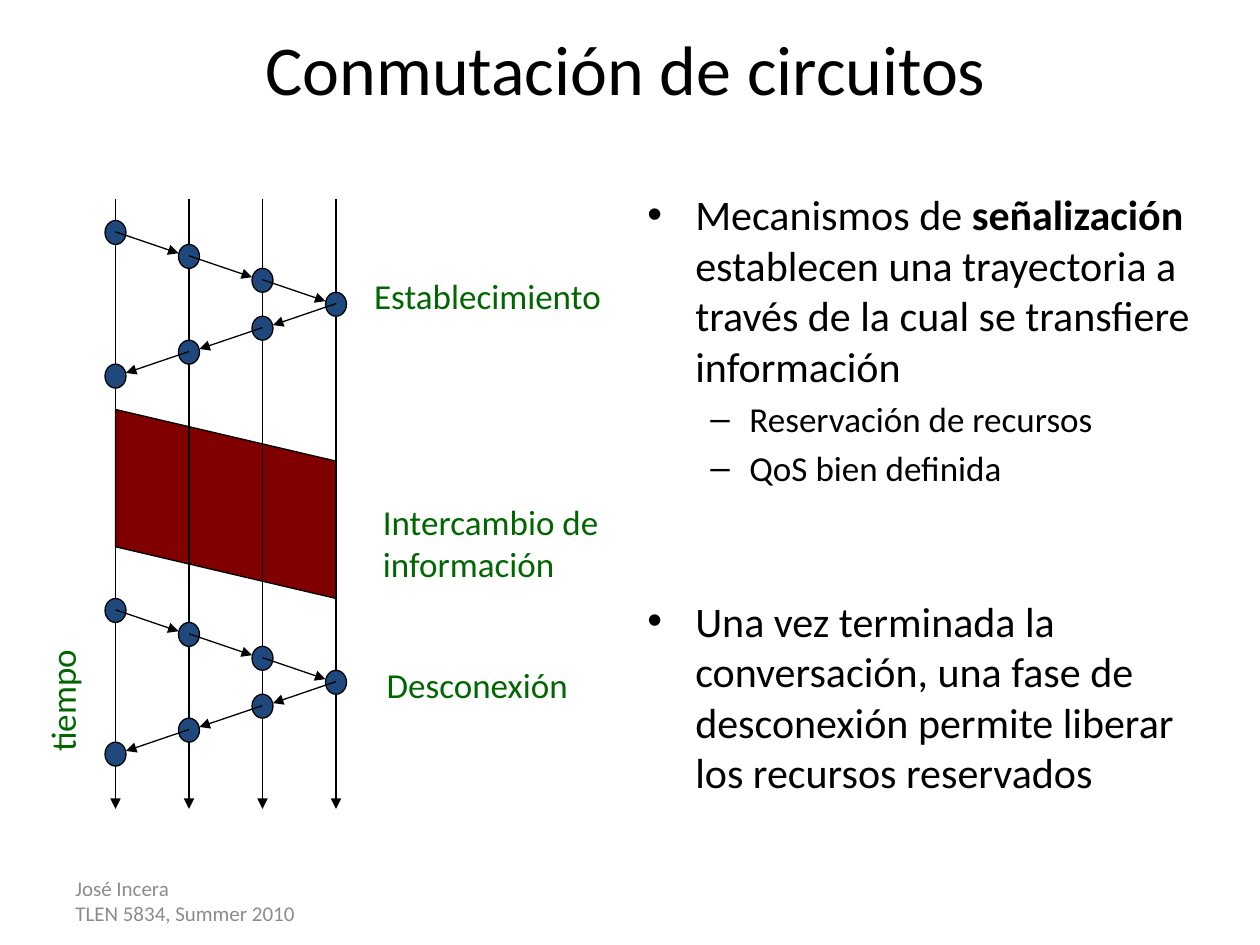
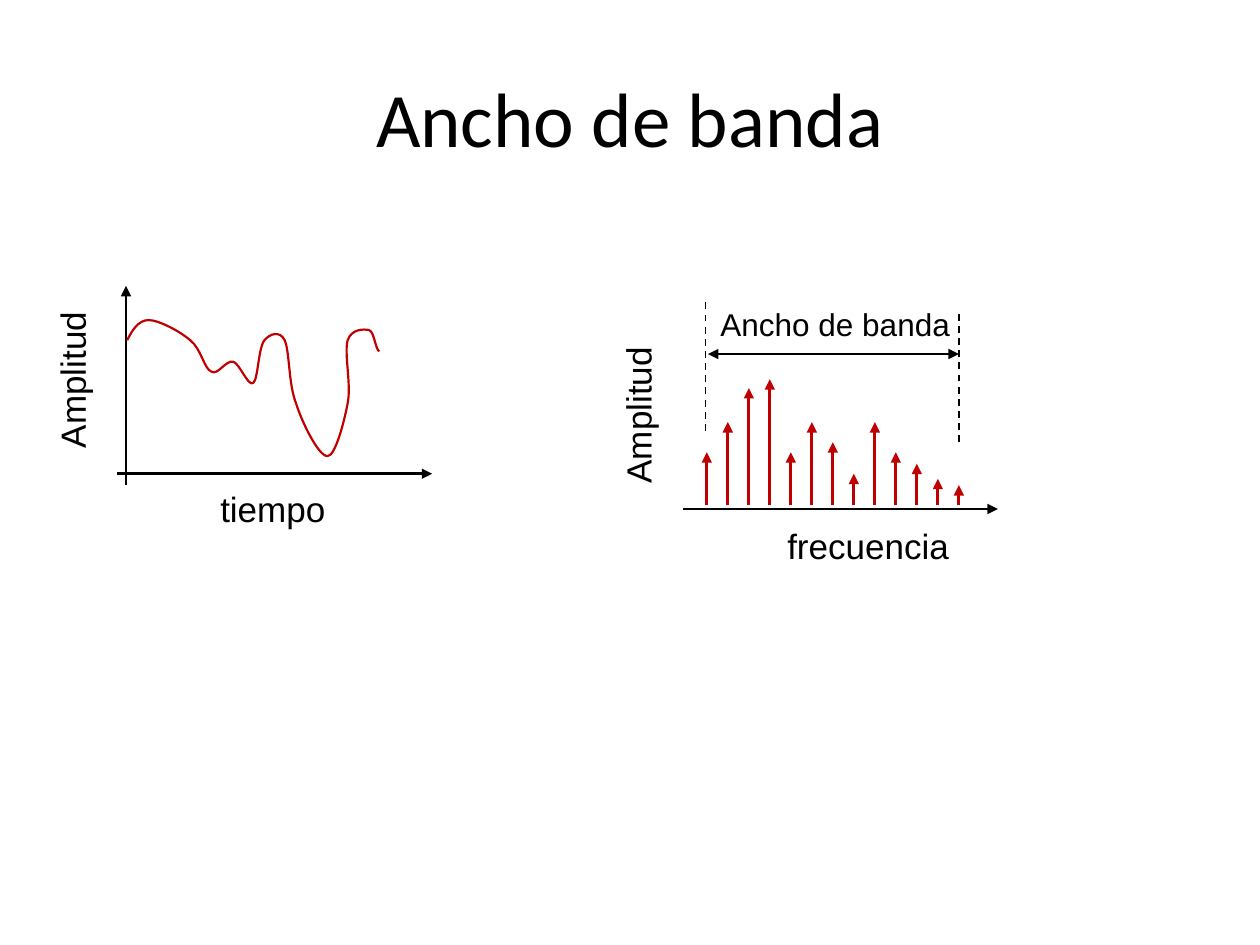
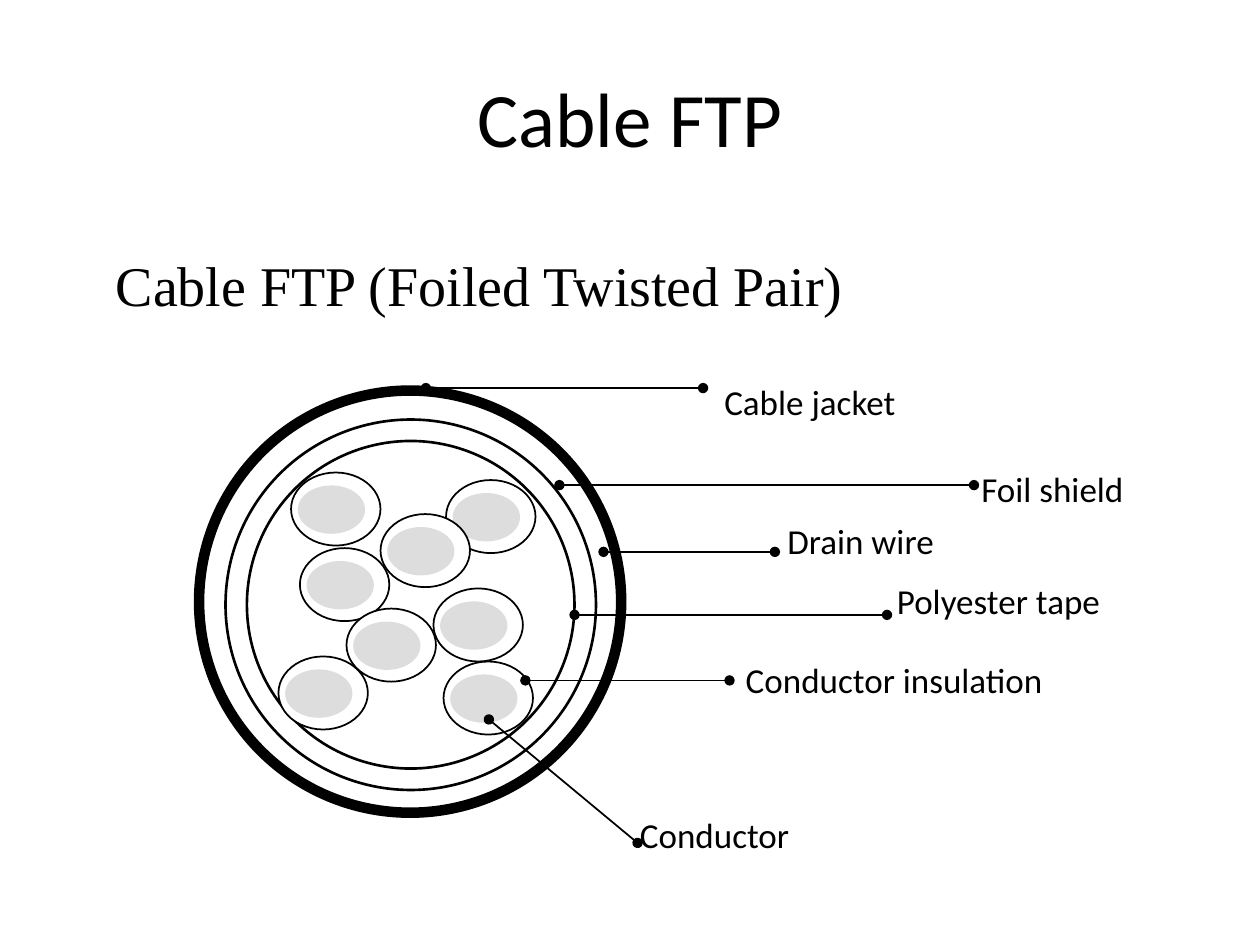
from dataclasses import dataclass

from lxml.etree import SubElement
from pptx import Presentation
from pptx.dml.color import RGBColor
from pptx.enum.dml import MSO_LINE
from pptx.enum.shapes import MSO_CONNECTOR, MSO_SHAPE
from pptx.enum.text import MSO_ANCHOR, MSO_AUTO_SIZE, PP_ALIGN
from pptx.oxml.ns import qn
from pptx.util import Inches, Pt


@dataclass(frozen=True)
class Theme:
    black: RGBColor = RGBColor(0x00, 0x00, 0x00)
    white: RGBColor = RGBColor(0xFF, 0xFF, 0xFF)
    green: RGBColor = RGBColor(0x00, 0x66, 0x00)
    maroon: RGBColor = RGBColor(0x80, 0x00, 0x00)
    navy: RGBColor = RGBColor(0x1F, 0x49, 0x7D)
    red: RGBColor = RGBColor(0xC0, 0x00, 0x00)
    light_gray: RGBColor = RGBColor(0xDD, 0xDD, 0xDD)
    footer_gray: RGBColor = RGBColor(0x8C, 0x8C, 0x8C)
    font: str = "Calibri"
    plot_font: str = "Arial"
    heading_font: str = "Times New Roman"
    title: int = 44
    long_title: int = 40
    heading: int = 32
    body: int = 24
    label: int = 20
    small_label: int = 18
    footer: int = 12


THEME = Theme()
prs = Presentation()
prs.slide_width, prs.slide_height = Inches(10), Inches(7.5)
CELL = prs.slide_width // 10  # the slide is a grid of 10 columns by 7.5 rows


def grid(*lengths):
    """Turn grid columns and rows into slide lengths."""
    return [round(length * CELL) for length in lengths]


def add_text(slide, text, box, size=THEME.label, color=THEME.black,
             font=THEME.font, align=PP_ALIGN.LEFT, wrap=False):
    shape = slide.shapes.add_textbox(*grid(*box))
    frame = shape.text_frame
    frame.text = text
    frame.word_wrap = wrap
    frame.auto_size = MSO_AUTO_SIZE.NONE if wrap else MSO_AUTO_SIZE.SHAPE_TO_FIT_TEXT
    for paragraph in frame.paragraphs:
        paragraph.alignment = align
        for run in paragraph.runs:
            run.font.name, run.font.size = font, Pt(size)
            run.font.color.rgb = color
    return shape


def add_line(slide, start, end, width=0.75, color=THEME.black, head=None,
             tail=None, dash=None):
    connector = slide.shapes.add_connector(
        MSO_CONNECTOR.STRAIGHT, *grid(*start, *end))
    connector.line.color.rgb = color
    connector.line.width = Pt(width)
    if dash:
        connector.line.dash_style = dash
    outline = connector.line._get_or_add_ln()
    for tag, kind in (("a:headEnd", head), ("a:tailEnd", tail)):
        if kind:
            SubElement(outline, qn(tag), type=kind)
    SubElement(connector._element.spPr, qn("a:effectLst"))


# Titles
slides = []
for title, box, size, anchor in (
    ("Conmutación de circuitos", (0.42, 0.15, 9.09, 1.25), THEME.long_title, MSO_ANCHOR.TOP),
    ("Ancho de banda", (0.5, 0.3, 9, 1.25), THEME.title, MSO_ANCHOR.MIDDLE),
    ("Cable FTP", (0.5, 0.3, 9, 1.25), THEME.title, MSO_ANCHOR.MIDDLE),
):
    slide = prs.slides.add_slide(prs.slide_layouts[5])
    heading = slide.shapes.title
    heading.left, heading.top, heading.width, heading.height = grid(*box)
    heading.text_frame.text = title
    heading.text_frame.vertical_anchor = anchor
    paragraph = heading.text_frame.paragraphs[0]
    paragraph.alignment = PP_ALIGN.CENTER
    font = paragraph.runs[0].font
    font.name, font.size, font.color.rgb = THEME.font, Pt(size), THEME.black
    slides.append(slide)
circuits, bandwidth, cable = slides

# Circuit switching: bullets
bullets = (
    (0, "Mecanismos de señalización establecen una trayectoria a través de la "
        "cual se transfiere información", 4.8),
    (1, "Reservación de recursos", 4),
    (1, "QoS bien definida", 4),
    (0, "Una vez terminada la conversación, una fase de desconexión permite "
        "liberar los recursos reservados", 61),
)
bullet_styles = (("•", 0.38, 0.38, THEME.body), ("–", 0.81, 0.31, THEME.label))
body = add_text(circuits, "\n".join(text for _, text, _ in bullets),
                (5.04, 1.45, 4.53, 5.09), THEME.body, wrap=True)
for paragraph, (level, _, gap) in zip(body.text_frame.paragraphs, bullets):
    mark, margin, hanging, size = bullet_styles[level]
    paragraph.level = level
    paragraph.space_before = Pt(gap)
    paragraph.runs[0].font.size = Pt(size)
    properties = paragraph._p.get_or_add_pPr()
    properties.set("marL", str(Inches(margin)))
    properties.set("indent", str(-Inches(hanging)))
    SubElement(properties, qn("a:buFont"), typeface="Arial")
    SubElement(properties, qn("a:buChar"), char=mark)

first = body.text_frame.paragraphs[0]
emphasis = "señalización "
before, after = first.runs[0].text.split(emphasis)
first.runs[0].text = before
for text, bold in ((emphasis, True), (after, False)):
    run = first.add_run()
    run.text = text
    run.font.name, run.font.size, run.font.bold = THEME.font, Pt(THEME.body), bold
    run.font.color.rgb = THEME.black

# Circuit switching: time diagram
nodes = [(11 + 7 * i) / 12 for i in range(4)]
exchange_corners = [(nodes[0], 3.25), (nodes[0], 4.34), (nodes[3], 4.75), (nodes[3], 3.66)]
outline = circuits.shapes.build_freeform(*grid(*exchange_corners[0]))
outline.add_line_segments([grid(*corner) for corner in exchange_corners[1:]])
exchange = outline.convert_to_shape()
exchange.shadow.inherit = False
exchange.fill.solid()
exchange.fill.fore_color.rgb = THEME.maroon
exchange.line.color.rgb = THEME.black
exchange.line.width = Pt(0.75)

for x in nodes:
    add_line(circuits, (x, 1.58), (x, 6.42), tail="triangle")

HOP = 0.19
route = (0, 1, 2, 3, 2, 1, 0)
for phase_top in (1.75, 4.75):
    for step, node in enumerate(route):
        event = circuits.shapes.add_shape(
            MSO_SHAPE.OVAL,
            *grid(nodes[node] - 1 / 12, phase_top + step * HOP, 1 / 6, 0.19))
        event.shadow.inherit = False
        event.fill.solid()
        event.fill.fore_color.rgb = THEME.navy
        event.line.color.rgb = THEME.black
        event.line.width = Pt(0.75)
    for step, (node, next_node) in enumerate(zip(route, route[1:])):
        x, y = nodes[node], phase_top + 0.09 + step * HOP
        add_line(circuits, (x, y), (x + (next_node - node) * 0.5, y + 0.17),
                 tail="triangle")

for text, box, align in (
    ("Establecimiento", (2.8, 2.13, 2.14, 0.44), PP_ALIGN.CENTER),
    ("Intercambio de\vinformación", (2.94, 3.92, 2.08, 0.77), PP_ALIGN.LEFT),
    ("Desconexión", (2.97, 5.22, 1.76, 0.44), PP_ALIGN.LEFT),
):
    add_text(circuits, text, box, color=THEME.green, align=align)
time_label = add_text(circuits, "tiempo", (-0.03, 5.34, 1.05, 0.44),
                      color=THEME.green, align=PP_ALIGN.CENTER)
time_label.rotation = 270

footer = add_text(circuits, "José Incera\nTLEN 5834, Summer 2010",
                  (0.5, 6.95, 2.33, 0.4), THEME.footer, THEME.footer_gray, wrap=True)
footer.text_frame.vertical_anchor = MSO_ANCHOR.MIDDLE

# Bandwidth: axes and labels
for start, end in (((1, 3.85), (1, 2.27)), ((0.93, 3.76), (3.43, 3.76)),
                   ((5.42, 4.04), (7.92, 4.04))):
    add_line(bandwidth, start, end, 1.5, tail="triangle")

for text, box, size, angle in (
    ("tiempo", (1.65, 3.82, 1.04, 0.44), THEME.label, 0),
    ("Amplitud", (-0.07, 2.79, 1.29, 0.44), THEME.label, 270),
    ("Ancho de banda", (5.62, 2.37, 2.04, 0.4), THEME.small_label, 0),
    ("frecuencia", (6.15, 4.11, 1.5, 0.44), THEME.label, 0),
    ("Amplitud", (4.42, 3.07, 1.29, 0.44), THEME.label, 270),
):
    add_text(bandwidth, text, box, size, font=THEME.plot_font).rotation = angle

# Bandwidth: signal over time, each row holding two control points and an end
signal_start = (1.01, 2.7)
signal_curves = (
    ((1.05, 2.62), (1.1, 2.54), (1.18, 2.54)),
    ((1.26, 2.54), (1.43, 2.63), (1.51, 2.7)),
    ((1.6, 2.77), (1.62, 2.93), (1.68, 2.95)),
    ((1.73, 2.98), (1.79, 2.86), (1.85, 2.87)),
    ((1.9, 2.88), (1.97, 3.07), (2.01, 3.04)),
    ((2.05, 3.01), (2.05, 2.76), (2.1, 2.7)),
    ((2.14, 2.65), (2.22, 2.62), (2.26, 2.7)),
    ((2.3, 2.79), (2.29, 3.05), (2.35, 3.2)),
    ((2.4, 3.36), (2.53, 3.62), (2.6, 3.62)),
    ((2.66, 3.62), (2.73, 3.36), (2.76, 3.2)),
    ((2.79, 3.05), (2.73, 2.8), (2.76, 2.7)),
    ((2.79, 2.61), (2.89, 2.61), (2.93, 2.62)),
    ((2.97, 2.63), (2.98, 2.77), (3.01, 2.79)),
)
outline = bandwidth.shapes.build_freeform(*grid(*signal_start))
outline.add_line_segments([grid(*curve[-1]) for curve in signal_curves], close=False)
signal = outline.convert_to_shape()
signal.shadow.inherit = False
signal.fill.background()
signal.line.color.rgb = THEME.red
signal.line.width = Pt(1.25)
# Bend each straight segment into a cubic curve
segments = list(signal._element.iter(qn("a:lnTo")))
for segment, curve in zip(segments, signal_curves):
    bend = SubElement(segment.getparent(), qn("a:cubicBezTo"))
    for point in curve:
        x, y = grid(*point)
        SubElement(bend, qn("a:pt"), x=str(x - signal.left), y=str(y - signal.top))
    segment.getparent().replace(segment, bend)

# Bandwidth: spectrum
spike_tops = (3.59, 3.35, 3.08, 3.01, 3.59, 3.35, 3.51, 3.76, 3.35, 3.59, 3.68, 3.8, 3.85)
for i, top in enumerate(spike_tops):
    x = 5.61 + i / 6
    add_line(bandwidth, (x, 4.01), (x, top), 1.75, THEME.red, tail="triangle")
for x, bottom in ((5.6, 3.42), (7.61, 3.51)):
    add_line(bandwidth, (x, bottom), (x, bottom - 1.06), 1, dash=MSO_LINE.DASH)
add_line(bandwidth, (5.62, 2.81), (7.61, 2.81), 1, head="triangle", tail="triangle")

# FTP cable: cross-section
add_text(cable, "Cable FTP (Foiled Twisted Pair)", (0.82, 1.94, 6.51, 0.63),
         THEME.heading, font=THEME.heading_font)
layers = [
    ((1.58, 3.1, 3.35, 3.35), THEME.white, THEME.black, 6),
    ((1.79, 3.33, 2.94, 2.94), THEME.white, THEME.black, 1.5),
    ((1.96, 3.5, 2.6, 2.6), THEME.white, THEME.black, 1.5),
]
for x, y in ((2.38, 4.35), (2.31, 3.75), (3.54, 3.81), (3.02, 4.08),
             (2.21, 5.21), (2.75, 4.83), (3.52, 5.25), (3.44, 4.67)):
    layers.append(((x, y, 0.71, 0.58), THEME.white, THEME.black, 1))
    layers.append(((x + 0.06, y + 0.11, 0.52, 0.37), THEME.light_gray, THEME.light_gray, 1))
for box, fill, edge, width in layers:
    layer = cable.shapes.add_shape(MSO_SHAPE.OVAL, *grid(*box))
    layer.shadow.inherit = False
    layer.fill.solid()
    layer.fill.fore_color.rgb = fill
    layer.line.color.rgb = edge
    layer.line.width = Pt(width)

# FTP cable: callouts
for text, left, top, width, start, end in (
    ("Cable jacket", 5.65, 2.97, 1.82, (3.38, 3.08), (5.58, 3.08)),
    ("Foil shield", 7.69, 3.66, 1.57, (4.44, 3.85), (7.73, 3.85)),
    ("Drain wire", 6.15, 4.07, 1.54, (4.79, 4.38), (6.15, 4.38)),
    ("Polyester tape", 7.02, 4.55, 2.1, (4.56, 4.88), (7.04, 4.88)),
    ("Conductor insulation", 5.82, 5.18, 2.99, (4.17, 5.4), (5.79, 5.4)),
    ("Conductor", 4.98, 6.41, 1.61, (3.88, 5.71), (5.06, 6.69)),
):
    add_text(cable, text, (left, top, width, 0.43))
    add_line(cable, start, end, 1, head="oval", tail="oval")

prs.save("out.pptx")
